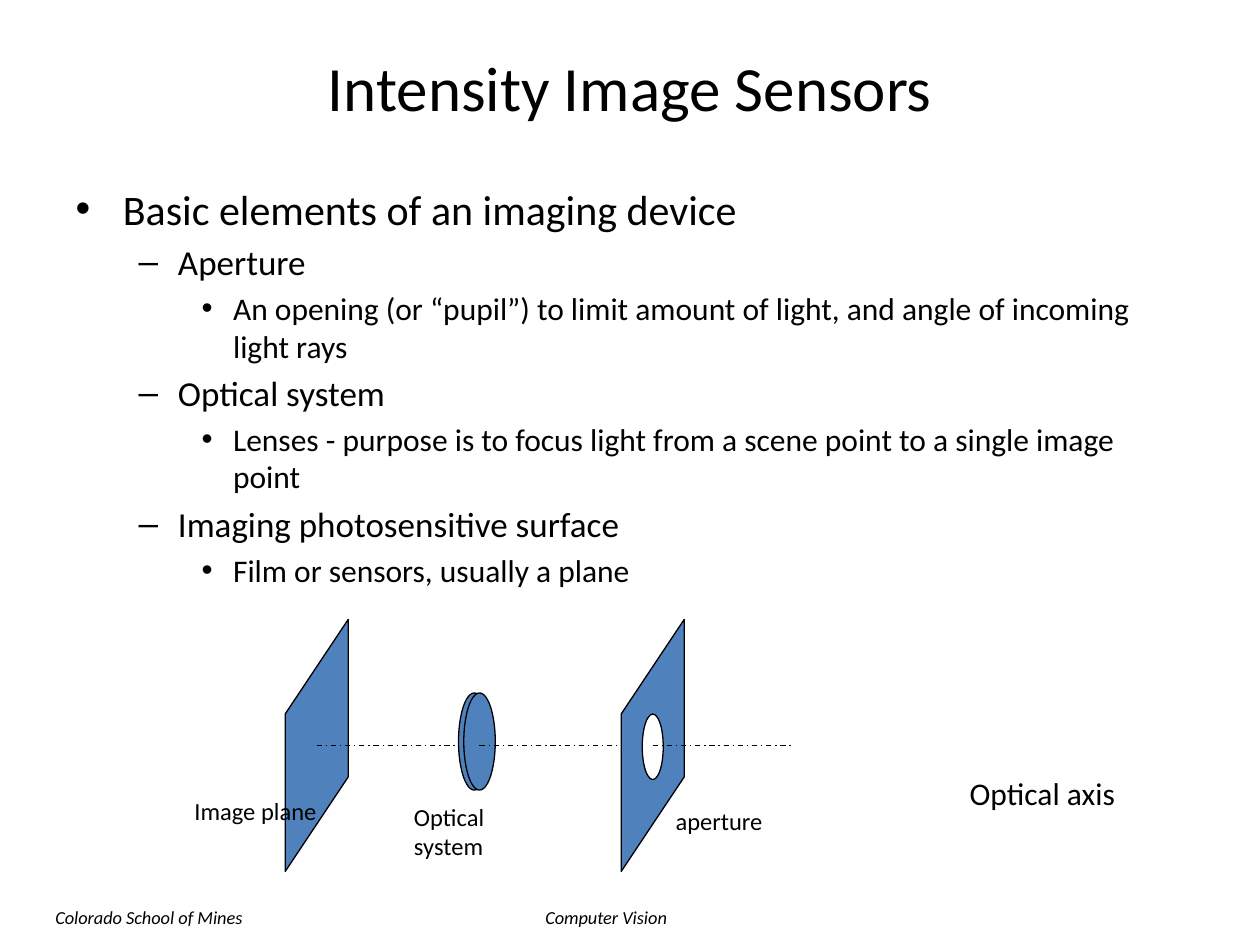
"""Build the slide on the basic elements of an imaging device."""
import pptx
import pptx.dml.color
import pptx.enum.dml
import pptx.enum.shapes
import pptx.enum.text
import pptx.oxml.ns
import pptx.util
from lxml import etree

Pt = pptx.util.Pt
ALIGN = pptx.enum.text.PP_ALIGN
ANCHOR = pptx.enum.text.MSO_ANCHOR
BLACK, WHITE, BLUE = "000000", "FFFFFF", "4F81BD"

TITLE = "Intensity Image Sensors"
ITEMS = [
    (0, "Basic elements of an imaging device"),
    (1, "Aperture"),
    (2, "An opening (or “pupil”) to limit amount of light, and angle of incoming light rays"),
    (1, "Optical system"),
    (2, "Lenses - purpose is to focus light from a scene point to a single image point"),
    (1, "Imaging photosensitive surface"),
    (2, "Film or sensors, usually a plane"),
]
LEVELS = [
    {"size": 24, "left": 27, "hang": 27, "before": 0, "mark": "•"},
    {"size": 20, "left": 58.5, "hang": 22.5, "before": 4, "mark": "–"},
    {"size": 18, "left": 90, "hang": 18, "before": 3.6, "mark": "•"},
]
SMALL = {"size": Pt(10.5), "italic": True}
LABEL = {"size": Pt(14)}
NOTES = [
    ("Computer Vision", (304.5, 514, 101, 19.5), SMALL),
    ("Colorado School of Mines", (24.5, 514, 145.5, 19.5), SMALL),
    ("Optical axis", (547, 439, 142.5, 29), {"size": Pt(18)}),
    ("Image plane", (104, 451.5, 88.5, 40), LABEL),
    ("Optical system", (229.5, 454.5, 88.5, 40), LABEL),
    ("aperture", (379, 457, 88.5, 24), LABEL),
]
PLANE = [(0, 54), (0, 143.5), (36, 90), (36, 0)]
PLANES = [(163, 354), (355, 354)]
LENSES = [(262, 396, 18, 55.5), (265, 396, 18, 55.5)]
HOLE = (367, 408, 12, 37.5)
AXIS = 426
DASHES = [(181, 262), (274, 355), (373, 454)]


def tint(code):
    return pptx.dml.color.RGBColor.from_string(code)


def place(shape, box):
    for name, value in zip(("left", "top", "width", "height"), box):
        setattr(shape, name, Pt(value))


def style(font, form):
    for name, value in {"name": "Calibri", **form}.items():
        setattr(font, name, value)
    font.color.rgb = tint(BLACK)


def paint(shape, code):
    shape.shadow.inherit = False
    shape.fill.solid()
    shape.fill.fore_color.rgb = tint(code)
    edge(shape.line)


def edge(line):
    line.color.rgb = tint(BLACK)
    line.width = Pt(0.75)


def mark(para, level):
    props = para._p.get_or_add_pPr()
    props.set("marL", str(Pt(level["left"])))
    props.set("indent", str(-Pt(level["hang"])))
    para.space_before = Pt(level["before"])
    sign = etree.SubElement(props, pptx.oxml.ns.qn("a:buChar"))
    sign.set("char", level["mark"])


def head(slide):
    shape = slide.shapes.title
    place(shape, (36, 21.5, 648, 56))
    frame = shape.text_frame
    frame.text = TITLE
    frame.vertical_anchor = ANCHOR.MIDDLE
    frame.paragraphs[0].alignment = ALIGN.CENTER
    style(frame.paragraphs[0].font, {"size": Pt(36)})


def body(slide):
    shape = slide.placeholders[1]
    place(shape, (36, 101, 623, 373))
    frame = shape.text_frame
    frame.text = "\n".join(text for _, text in ITEMS)
    frame.auto_size = pptx.enum.text.MSO_AUTO_SIZE.NONE
    for para, (depth, _) in zip(frame.paragraphs, ITEMS):
        para.level = depth
        mark(para, LEVELS[depth])
        style(para.font, {"size": Pt(LEVELS[depth]["size"])})


def plane(slide, left, top):
    spots = [(left + x, top + y) for x, y in PLANE]
    build = slide.shapes.build_freeform(*spots[0], scale=Pt(1))
    build.add_line_segments(spots[1:], close=True)
    paint(build.convert_to_shape(), BLUE)


def oval(slide, box, code):
    kind = pptx.enum.shapes.MSO_SHAPE.OVAL
    paint(slide.shapes.add_shape(kind, *map(Pt, box)), code)


def dash(slide, start, end):
    kind = pptx.enum.shapes.MSO_CONNECTOR.STRAIGHT
    line = slide.shapes.add_connector(kind, *map(Pt, (start, AXIS, end, AXIS)))
    edge(line.line)
    line.line.dash_style = pptx.enum.dml.MSO_LINE.DASH_DOT
    etree.SubElement(line._element.spPr, pptx.oxml.ns.qn("a:effectLst"))


def note(slide, text, box, form):
    frame = slide.shapes.add_textbox(*map(Pt, box)).text_frame
    frame.word_wrap = True
    frame.text = text
    style(frame.paragraphs[0].font, form)


def main():
    deck = pptx.Presentation()
    deck.slide_width, deck.slide_height = Pt(720), Pt(540)
    slide = deck.slides.add_slide(deck.slide_layouts[1])
    head(slide)
    body(slide)
    for spot in PLANES:
        plane(slide, *spot)
    for box in LENSES:
        oval(slide, box, BLUE)
    oval(slide, HOLE, WHITE)
    for ends in DASHES:
        dash(slide, *ends)
    for item in NOTES:
        note(slide, *item)
    deck.save("out.pptx")


if __name__ == "__main__":
    main()
